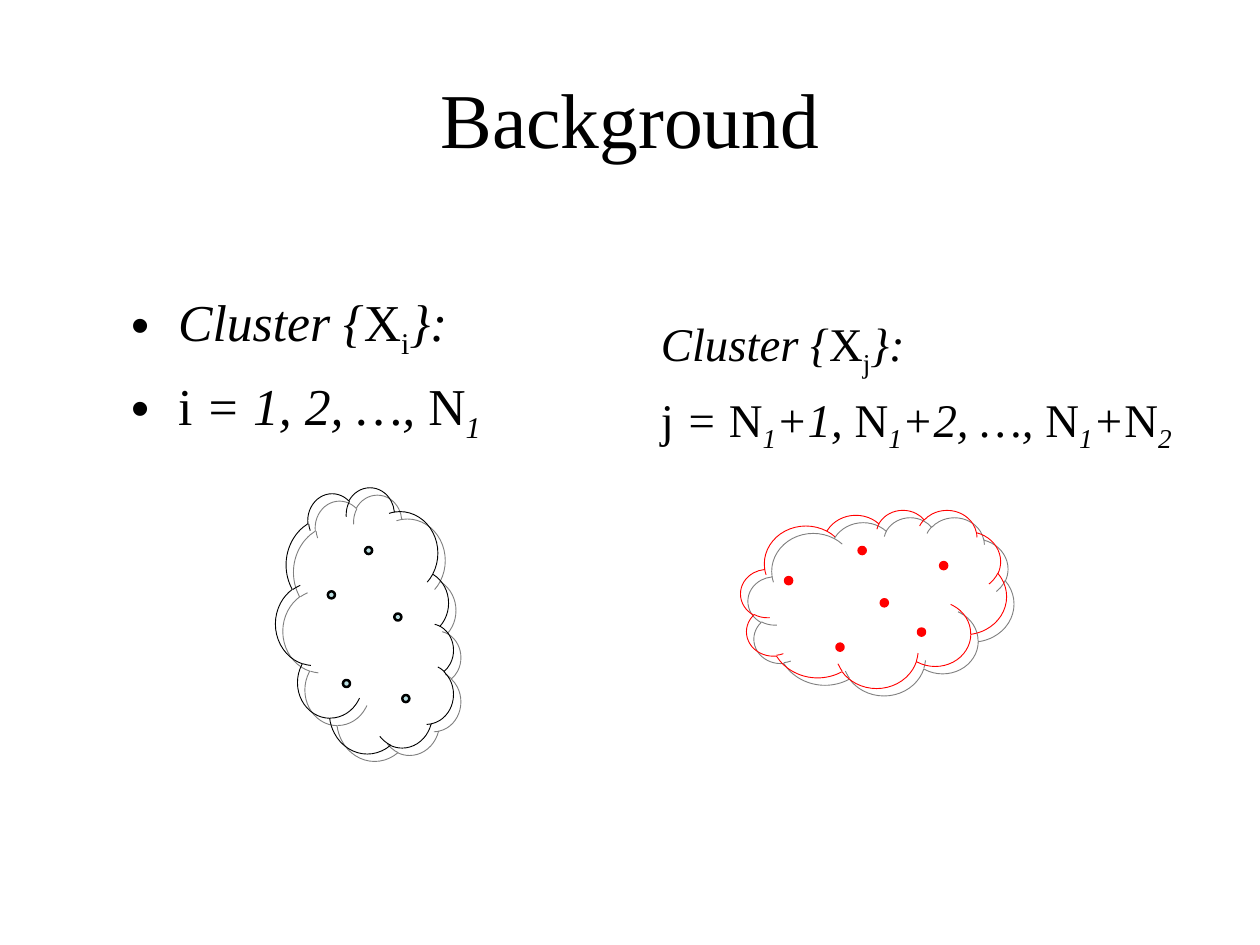
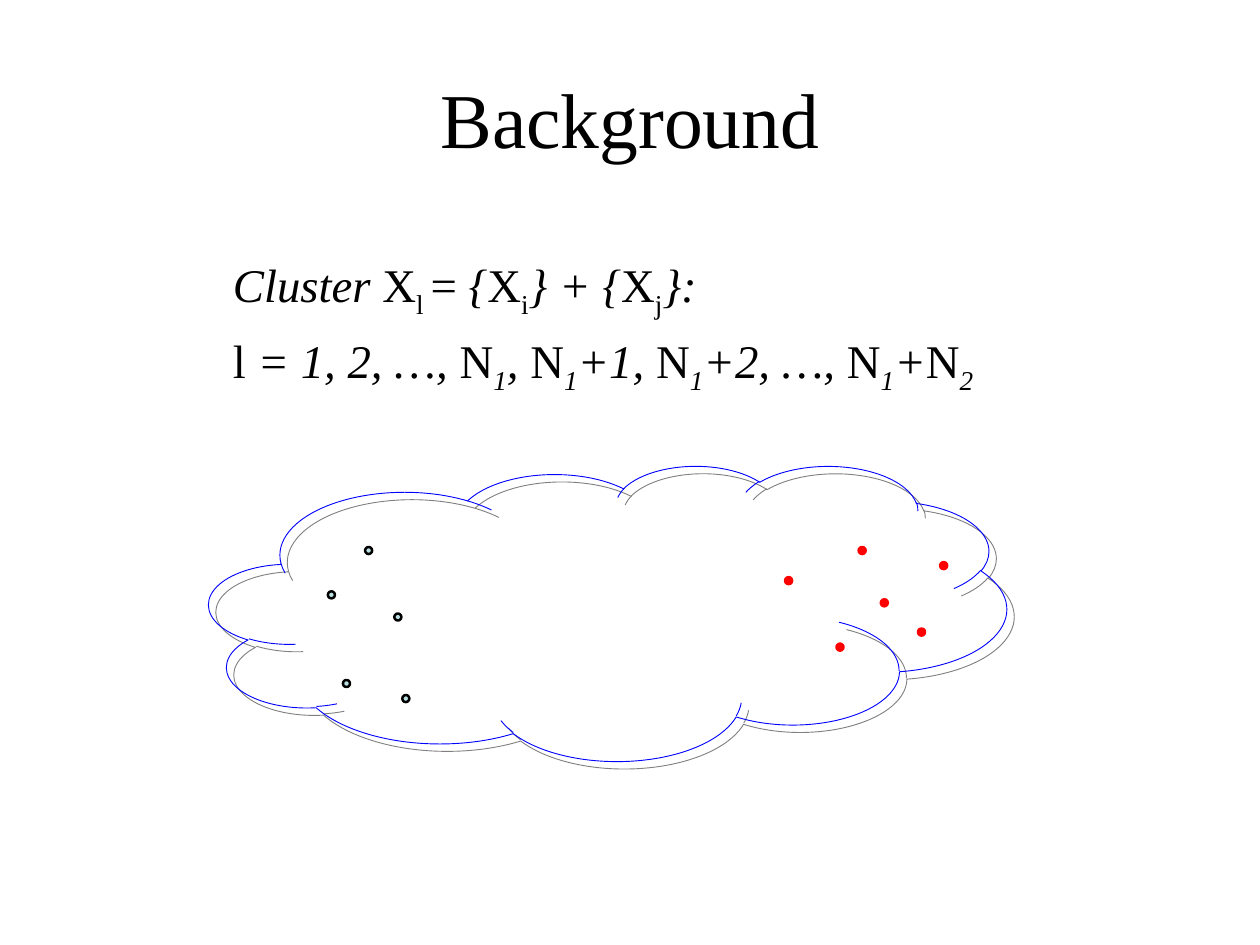
import lxml.etree
import pptx
import pptx.dml.color
import pptx.enum.shapes
import pptx.enum.text
import pptx.oxml
import pptx.oxml.ns
import pptx.util

PX = 9144  # 100 px to the inch
FONT = "Times New Roman"
BLACK = pptx.dml.color.RGBColor(0x00, 0x00, 0x00)
RED = pptx.dml.color.RGBColor(0xFF, 0x00, 0x00)
BLUE = pptx.dml.color.RGBColor(0x00, 0x00, 0xFF)
PALE_TEAL = pptx.dml.color.RGBColor(0xBB, 0xE0, 0xE3)
SHADOW_GREY = pptx.dml.color.RGBColor(0x80, 0x80, 0x80)
SHAPE = pptx.enum.shapes.MSO_SHAPE

CLOUD_SHADOW = (
    f'<a:outerShdw {pptx.oxml.ns.nsdecls("a")} dist="107950" dir="2700000" '
    f'algn="ctr" rotWithShape="0"><a:srgbClr val="{SHADOW_GREY}"/></a:outerShdw>'
)

# Text pieces: "r" upright, "i" italic, "_" upright subscript, "_i" italic subscript
X = ("X", "r")
SUB_I, SUB_J = ("i", "_"), ("j", "_")
N1 = [("N", "r"), ("1", "_i")]
N2 = [("N", "r"), ("2", "_i")]
J_RANGE = [*N1, ("+1, ", "i"), *N1, ("+2, …, ", "i"), *N1, ("+", "i"), *N2]

CLUSTER_I = [
    [("Cluster {", "i"), X, SUB_I, ("}:", "i")],
    [("i ", "r"), ("= 1, 2, …, ", "i"), *N1],
]
CLUSTER_J = [
    [("Cluster {", "i"), X, SUB_J, ("}:", "i")],
    [("j ", "r"), ("= ", "i"), *J_RANGE],
]
CLUSTER_L = [
    [("Cluster ", "i"), X, ("l ", "_"), ("= ", "r"), ("{", "i"), X, SUB_I,
     ("} + {", "i"), X, SUB_J, ("}:", "i")],
    [("l ", "r"), ("= 1, 2, …, ", "i"), *N1, (", ", "i"), *J_RANGE],
]

# Left and top of each data point, with fill and outline of its cluster
POINTS_I = ([(412, 617), (370, 667), (454, 784), (387, 767), (445, 692)], PALE_TEAL, BLACK)
POINTS_J = ([(886, 651), (944, 726), (969, 617), (1061, 634), (1036, 709), (994, 676)], RED, RED)


def write_lines(box, place, lines, size):
    """Place the box and fill it with hanging paragraphs of styled pieces."""
    box.left, box.top, box.width, box.height = [length * PX for length in place]
    frame = box.text_frame
    frame.word_wrap = True
    frame.auto_size = pptx.enum.text.MSO_AUTO_SIZE.NONE
    for index, pieces in enumerate(lines):
        para = frame.add_paragraph() if index else frame.paragraphs[0]
        para.space_before = pptx.util.Pt(size / 4)
        properties = para._p.get_or_add_pPr()
        properties.set("marL", str(53 * PX))
        properties.set("indent", str(-53 * PX))
        for text, style in pieces:
            span = para.add_run()
            span.text = text
            span.font.name = FONT
            span.font.size = pptx.util.Pt(size)
            span.font.color.rgb = BLACK
            span.font.italic = "i" in style
            if "_" in style:
                span._r.get_or_add_rPr().set("baseline", "-25000")


def draw_cluster(shapes, place, rotation, cloud_color, point_sets):
    """Draw an open cloud with a cast shadow, and the data points inside it."""
    cloud = shapes.add_shape(SHAPE.CLOUD, *[length * PX for length in place])
    cloud.rotation = rotation
    cloud.fill.background()
    cloud.line.color.rgb = cloud_color
    cloud.line.width = pptx.util.Pt(0.75)
    cloud.shadow.inherit = False
    effects = cloud._element.spPr.find(pptx.oxml.ns.qn("a:effectLst"))
    effects.append(lxml.etree.fromstring(CLOUD_SHADOW))
    for points, fill_color, line_color in point_sets:
        for left, top in points:
            point = shapes.add_shape(SHAPE.OVAL, left * PX, top * PX, 8 * PX, 8 * PX)
            point.shadow.inherit = False
            point.fill.solid()
            point.fill.fore_color.rgb = fill_color
            point.line.color.rgb = line_color
            point.line.width = pptx.util.Pt(2)


deck = pptx.Presentation()
deck.slide_width, deck.slide_height = 1422 * PX, 1066 * PX

# Both pages share the title
pages = []
for layout_name in ("Title and Content", "Title Only"):
    page = deck.slides.add_slide(deck.slide_layouts.get_by_name(layout_name))
    title = page.shapes.title
    title.left, title.top, title.width, title.height = 71 * PX, 43 * PX, 1280 * PX, 178 * PX
    frame = title.text_frame
    frame.text = "Background"
    frame.auto_size = pptx.enum.text.MSO_AUTO_SIZE.NONE
    frame.vertical_anchor = pptx.enum.text.MSO_ANCHOR.MIDDLE
    frame.margin_left = frame.margin_right = 14 * PX
    frame.margin_top = frame.margin_bottom = 7 * PX
    para = frame.paragraphs[0]
    para.alignment = pptx.enum.text.PP_ALIGN.CENTER
    font = para.runs[0].font
    font.name, font.size, font.color.rgb = FONT, pptx.util.Pt(63), BLACK
    pages.append(page)
separate_page, joined_page = pages

# Page 1: two separate clusters
write_lines(separate_page.placeholders[1], (138, 322, 450, 191), CLUSTER_I, 42)
write_lines(separate_page.shapes.add_textbox(0, 0, 0, 0), (736, 350, 686, 192), CLUSTER_J, 38)
for place, rotation, color, points in (
    ((262, 600, 300, 201), 90, BLACK, POINTS_I),
    ((836, 575, 300, 201), 0, RED, POINTS_J),
):
    group = separate_page.shapes.add_group_shape()
    draw_cluster(group.shapes, place, rotation, color, [points])

# Page 2: one cluster holding all the points
write_lines(joined_page.shapes.add_textbox(0, 0, 0, 0), (253, 284, 1042, 191), CLUSTER_L, 38)
draw_cluster(joined_page.shapes, (236, 525, 900, 333), 0, BLUE, [POINTS_I, POINTS_J])

deck.save("out.pptx")
